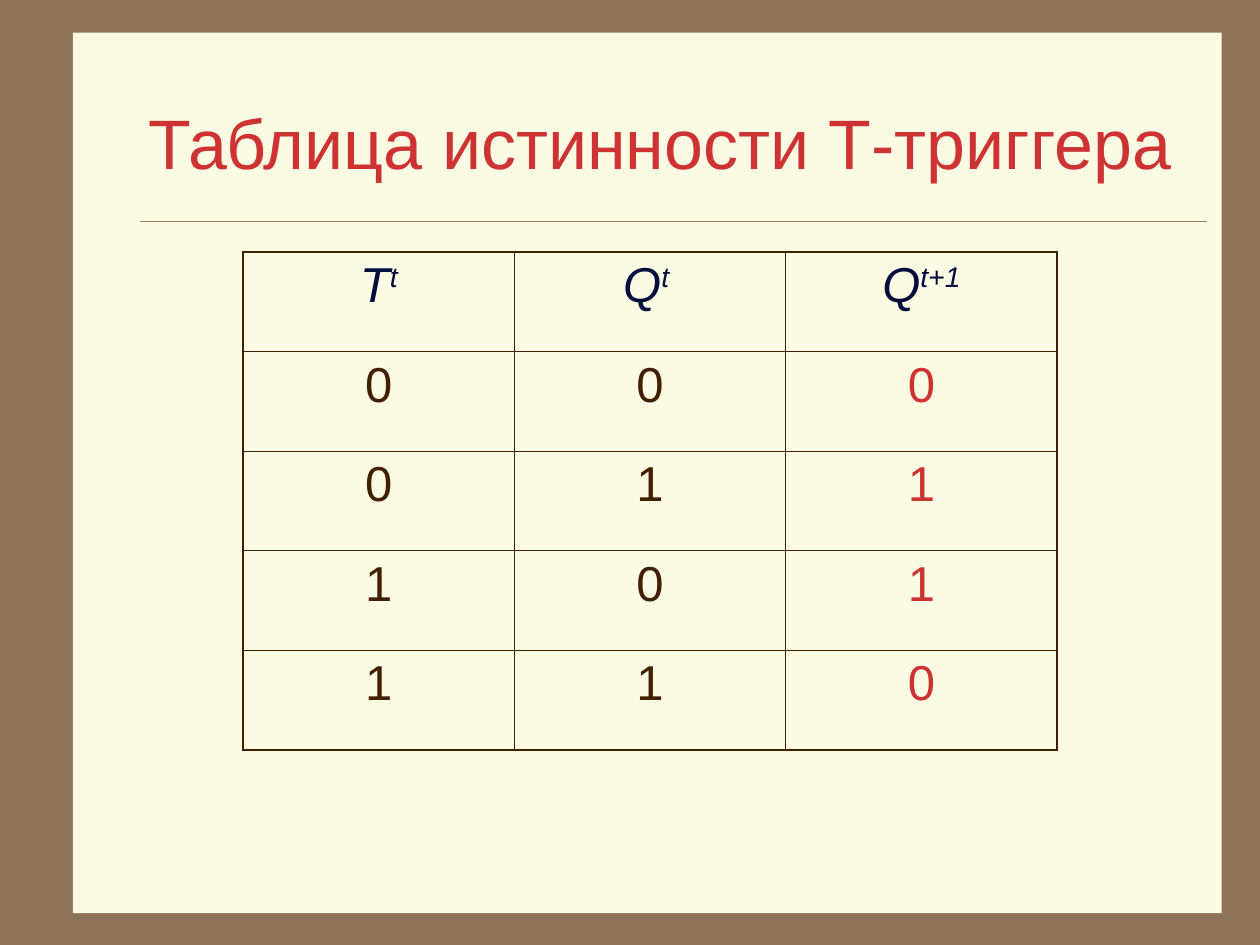
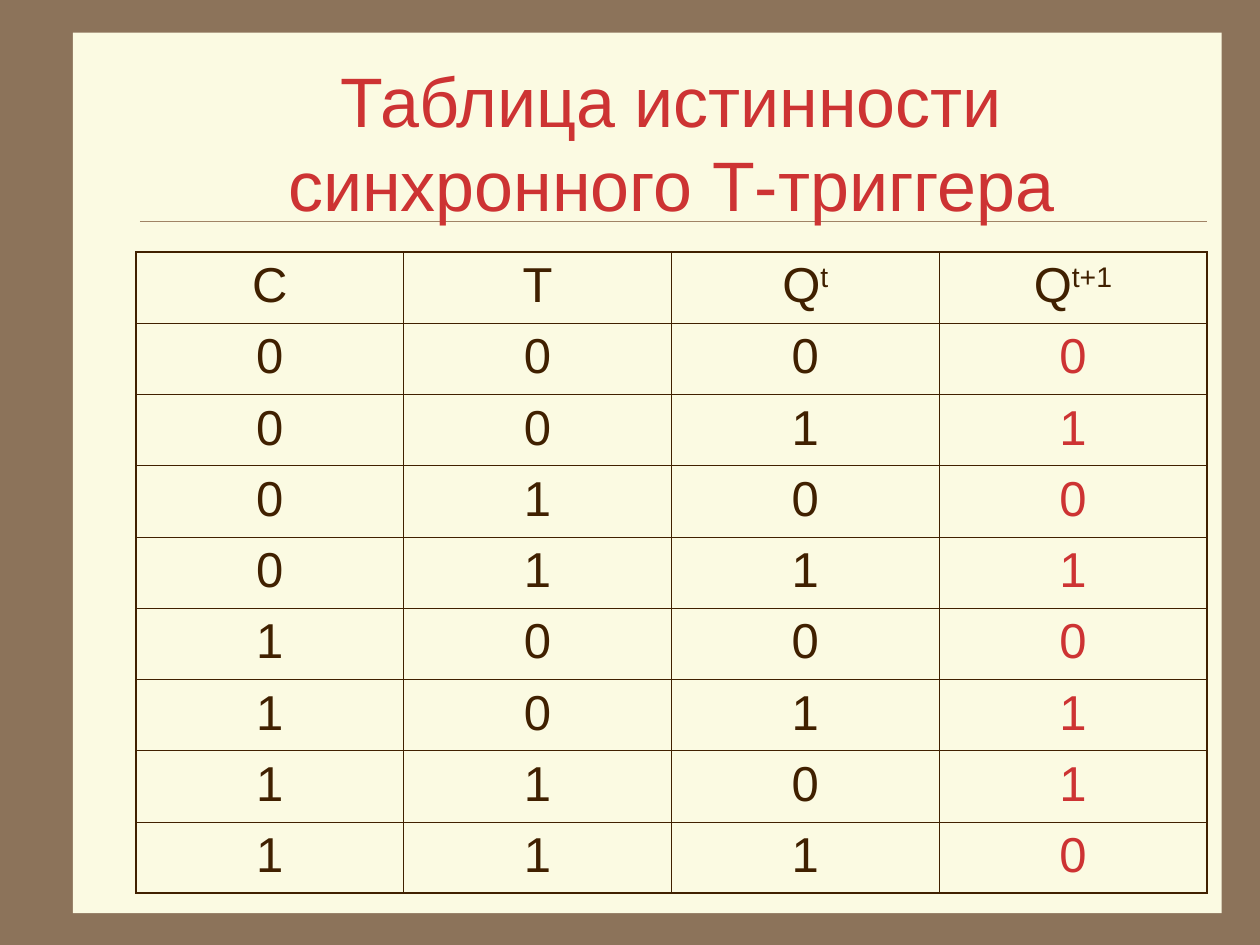
from dataclasses import dataclass
from itertools import product

from lxml.etree import SubElement
from pptx import Presentation
from pptx.dml.color import RGBColor
from pptx.enum.shapes import MSO_CONNECTOR, MSO_SHAPE
from pptx.enum.text import MSO_ANCHOR, MSO_AUTO_SIZE, PP_ALIGN
from pptx.oxml.ns import qn
from pptx.util import Cm, Pt


@dataclass(frozen=True)
class Theme:
    frame: str = "8C735A"
    paper: str = "FBFAE2"
    rule: str = "A08366"
    accent: str = "CD3333"
    ink: str = "402000"
    navy: str = "030E3D"
    font: str = "Arial"
    title_size: float = 40
    table_size: float = 28
    space_before: float = 7
    rule_width: float = 0.25
    outer_border: float = 1.08
    inner_border: float = 0.45


@dataclass(frozen=True)
class Heading:
    base: str
    superscript: str = ""


@dataclass(frozen=True)
class TruthTable:
    title: str
    title_alignment: PP_ALIGN
    headings: tuple[Heading, ...]
    left: float
    width: float
    height: float
    heading_color: str
    heading_italic: bool = False


THEME = Theme()
CONTENT_LEFT, CONTENT_WIDTH = 2.74, 21.59
TABLE_TOP = 5.08

TABLES = (
    TruthTable(
        "Таблица истинности Т-триггера", PP_ALIGN.LEFT,
        (Heading("T", "t"), Heading("Q", "t "), Heading("Q", "t+1")),
        left=4.9, width=16.41, height=10.04,
        heading_color=THEME.navy, heading_italic=True,
    ),
    TruthTable(
        "Таблица истинности синхронного Т-триггера", PP_ALIGN.CENTER,
        (Heading("C"), Heading("T"), Heading("Q", "t"), Heading("Q", "t+1")),
        left=CONTENT_LEFT, width=CONTENT_WIDTH, height=12.93,
        heading_color=THEME.ink,
    ),
)


def rgb(color: str) -> RGBColor:
    return RGBColor.from_string(color)


def add_text(paragraph, text: str, *, size: float, color: str,
             italic: bool = False, superscript: bool = False) -> None:
    run = paragraph.add_run()
    run.text = text
    run.font.name = THEME.font
    run.font.size = Pt(size)
    run.font.italic = italic
    run.font.color.rgb = rgb(color)
    if superscript:
        run._r.get_or_add_rPr().set("baseline", "30000")


def set_border(cell, side: str, width: float) -> None:
    line = SubElement(cell._tc.get_or_add_tcPr(), qn(f"a:ln{side}"), w=str(Pt(width)))
    fill = SubElement(line, qn("a:solidFill"))
    SubElement(fill, qn("a:srgbClr"), val=THEME.ink)


def decorate_master(master, slide) -> None:
    """Draw the paper and the title rule, then hand them to the master."""
    background = master.background.fill
    background.solid()
    background.fore_color.rgb = rgb(THEME.frame)

    paper = slide.shapes.add_shape(
        MSO_SHAPE.RECTANGLE, Cm(1.47), Cm(0.66), Cm(23.16), Cm(17.75))
    paper.shadow.inherit = False
    paper.fill.solid()
    paper.fill.fore_color.rgb = rgb(THEME.paper)
    paper.line.fill.background()

    rule = slide.shapes.add_connector(
        MSO_CONNECTOR.STRAIGHT, Cm(2.82), Cm(4.45), Cm(24.33), Cm(4.45))
    rule.line.color.rgb = rgb(THEME.rule)
    rule.line.width = Pt(THEME.rule_width)
    SubElement(rule.element.spPr, qn("a:effectLst"))

    # Behind the master's placeholders, with ids of their own
    for index, shape in enumerate((paper, rule)):
        shape.element.xpath(".//p:cNvPr")[0].set("id", str(101 + index))
        master.shapes.element.insert(2 + index, shape.element)


def format_title(slide, table: TruthTable) -> None:
    title = slide.shapes.title
    title.left, title.top = Cm(CONTENT_LEFT), Cm(1.27)
    title.width, title.height = Cm(CONTENT_WIDTH), Cm(3.18)
    frame = title.text_frame
    frame.word_wrap = True
    frame.auto_size = MSO_AUTO_SIZE.NONE
    frame.vertical_anchor = MSO_ANCHOR.MIDDLE
    paragraph = frame.paragraphs[0]
    paragraph.alignment = table.title_alignment
    add_text(paragraph, table.title, size=THEME.title_size, color=THEME.accent)


def truth_rows(input_count: int) -> list[tuple[int, ...]]:
    """The state flips when every control input is 1."""
    return [(*controls, state, state ^ int(all(controls)))
            for *controls, state in product((0, 1), repeat=input_count)]


def draw_table(slide, table: TruthTable) -> None:
    column_count = len(table.headings)
    values = truth_rows(column_count - 1)
    row_count = len(values) + 1
    grid = slide.shapes.add_table(
        row_count, column_count, Cm(table.left), Cm(TABLE_TOP),
        Cm(table.width), Cm(table.height)).table
    grid.first_row = grid.horz_banding = False

    for row in range(row_count):
        for column in range(column_count):
            cell = grid.cell(row, column)
            outer_sides = {"L": column == 0, "R": column == column_count - 1,
                           "T": row == 0, "B": row == row_count - 1}
            for side, is_outer in outer_sides.items():
                set_border(cell, side, THEME.outer_border if is_outer else THEME.inner_border)

            paragraph = cell.text_frame.paragraphs[0]
            paragraph.alignment = PP_ALIGN.CENTER
            paragraph.space_before = Pt(THEME.space_before)
            if row == 0:
                cell.fill.solid()
                cell.fill.fore_color.rgb = rgb(THEME.paper)
                heading = table.headings[column]
                for text, raised in ((heading.base, False), (heading.superscript, True)):
                    if text:
                        add_text(paragraph, text, size=THEME.table_size,
                                 color=table.heading_color,
                                 italic=table.heading_italic, superscript=raised)
            else:
                cell.fill.background()
                color = THEME.accent if outer_sides["R"] else THEME.ink
                add_text(paragraph, str(values[row - 1][column]),
                         size=THEME.table_size, color=color)


def main() -> None:
    presentation = Presentation()
    presentation.slide_width, presentation.slide_height = Cm(25.4), Cm(19.05)
    title_only = presentation.slide_layouts[5]
    slides = [presentation.slides.add_slide(title_only) for _ in TABLES]
    decorate_master(presentation.slide_master, slides[0])
    for slide, table in zip(slides, TABLES):
        format_title(slide, table)
        draw_table(slide, table)
    presentation.save("out.pptx")


if __name__ == "__main__":
    main()
